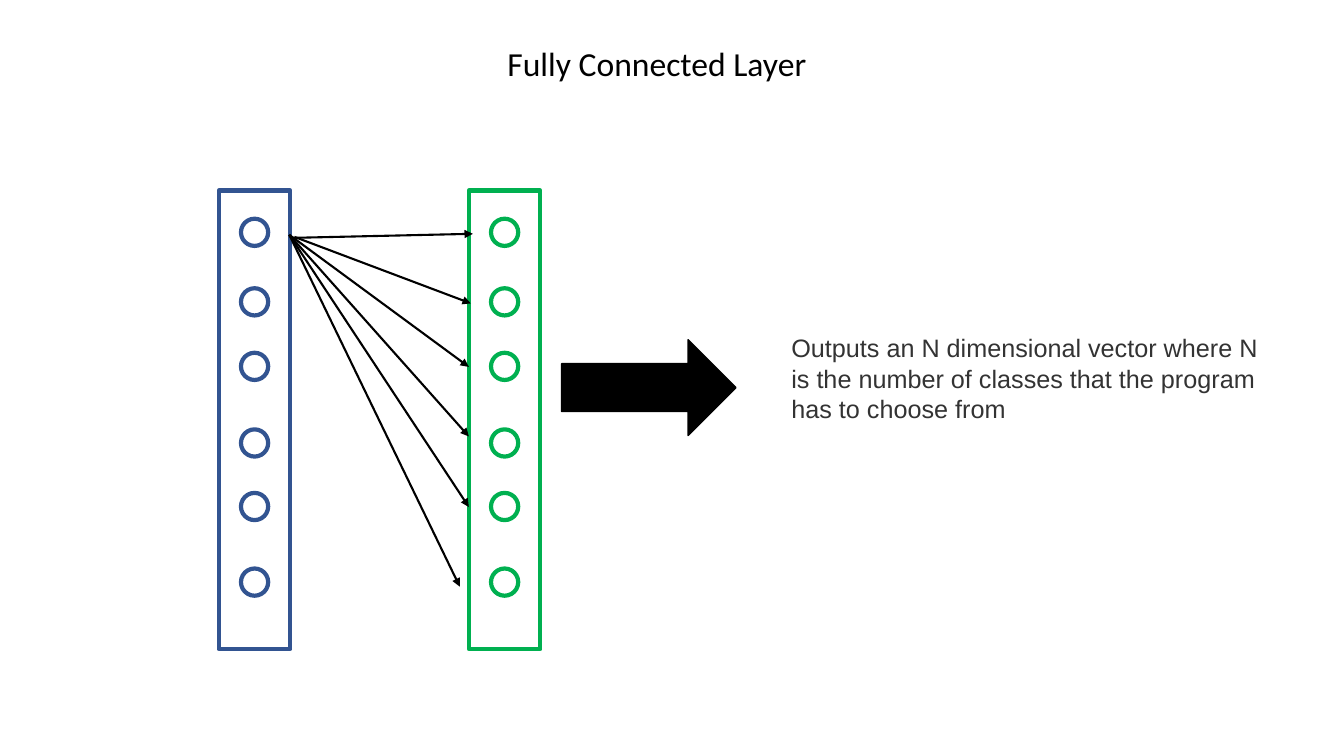
"""Build a slide showing how a fully connected layer links its neurons."""
from dataclasses import dataclass

from lxml import etree
from pptx import Presentation
from pptx.dml.color import RGBColor
from pptx.enum.shapes import MSO_CONNECTOR as CONN, MSO_SHAPE as SHAPE
from pptx.enum.text import MSO_ANCHOR as ANCHOR, PP_ALIGN as ALIGN
from pptx.oxml.ns import qn
from pptx.util import Inches, Pt


@dataclass(frozen=True)
class Theme:
    blue: str = "325491"
    green: str = "00B050"
    black: str = "000000"
    white: str = "FFFFFF"
    grey: str = "333333"
    title_size: int = 24
    body_size: int = 18
    outline: float = 3
    link: float = 1.5


theme = Theme()


def add_outlined(shapes, kind, box, line, width, fill=None):
    """Add a preset shape with an outline and an optional fill."""
    sp = shapes.add_shape(kind, *map(Inches, box))
    sp.shadow.inherit = False
    if fill:
        sp.fill.solid()
        sp.fill.fore_color.rgb = RGBColor.from_string(fill)
    else:
        sp.fill.background()
    sp.line.color.rgb = RGBColor.from_string(line)
    sp.line.width = Pt(width)


def write_text(sp, box, text, font, size, color, align):
    """Place a text shape and format its single paragraph."""
    sp.left, sp.top, sp.width, sp.height = map(Inches, box)
    tf = sp.text_frame
    tf.word_wrap = True
    tf.vertical_anchor = ANCHOR.TOP
    tf.text = text
    p = tf.paragraphs[0]
    p.alignment = align
    p.line_spacing = 1.0
    r = p.runs[0]
    r.font.name = font
    r.font.size = Pt(size)
    r.font.color.rgb = RGBColor.from_string(color)


prs = Presentation()
prs.slide_width, prs.slide_height = Inches(13.33), Inches(7.5)
slide = prs.slides.add_slide(prs.slide_layouts[5])

write_text(slide.shapes.title, (4.92, 0.38, 3.19, 0.5), "Fully Connected Layer",
           "Calibri", theme.title_size, theme.black, ALIGN.CENTER)

network = slide.shapes.add_group_shape()
neuron_tops = (2.17, 2.86, 3.5, 4.26, 4.89, 5.64)
for left, color in ((2.17, theme.blue), (4.65, theme.green)):
    add_outlined(network.shapes, SHAPE.RECTANGLE, (left, 1.89, 0.71, 4.55),
                 color, theme.outline, theme.white)
    for top in neuron_tops:
        add_outlined(network.shapes, SHAPE.OVAL, (left + 0.22, top, 0.27, 0.27),
                     color, theme.outline)

source = (2.87, 2.33)
links = [(source, end) for end in ((4.56, 5.82), (4.65, 5.03), (4.65, 4.33), (4.65, 3.64))]
links += [((2.92, 2.35), (4.67, 3.01)), ((2.9, 2.36), (4.69, 2.32))]
for start, end in links:
    link = network.shapes.add_connector(CONN.STRAIGHT, *map(Inches, start + end))
    link.line.color.rgb = RGBColor.from_string(theme.black)
    link.line.width = Pt(theme.link)
    etree.SubElement(link.line._get_or_add_ln(), qn("a:tailEnd"), type="triangle")
    etree.SubElement(link._element.spPr, qn("a:effectLst"))

note = slide.shapes.add_textbox(0, 0, 0, 0)
write_text(note, (7.75, 3.25, 4.85, 1.01),
           "Outputs an N dimensional vector where N is the number of classes "
           "that the program has to choose from",
           "Arial", theme.body_size, theme.grey, ALIGN.LEFT)

add_outlined(slide.shapes, SHAPE.RIGHT_ARROW, (5.57, 3.37, 1.73, 0.95),
             theme.black, 1, theme.black)

prs.save("out.pptx")
